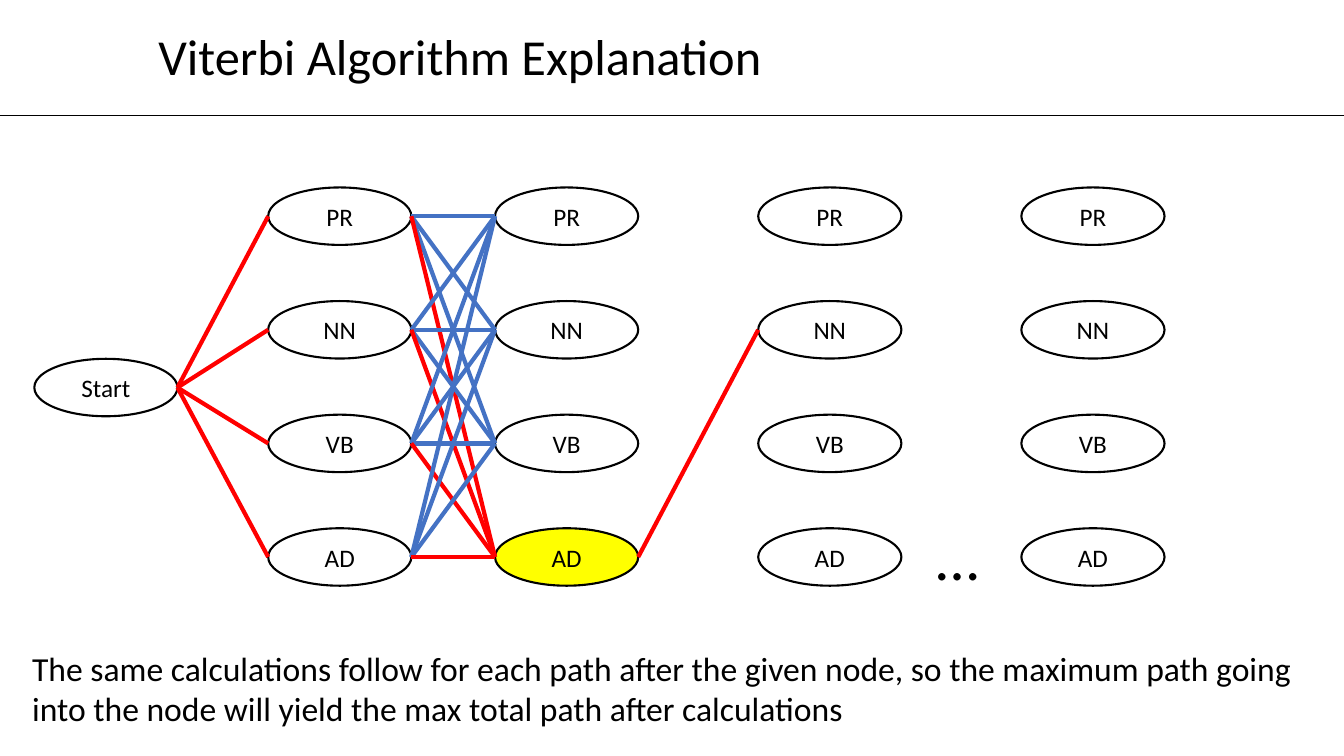
"""Build the Viterbi algorithm explanation slide."""
from lxml.etree import SubElement
from pptx import Presentation
from pptx.dml.color import RGBColor
from pptx.enum.shapes import MSO_CONNECTOR, MSO_SHAPE
from pptx.enum.text import MSO_ANCHOR, PP_ALIGN
from pptx.oxml.ns import qn
from pptx.util import Inches, Pt

BLACK, WHITE, YELLOW = "000000", "FFFFFF", "FFFF00"
RED, BLUE = "FF0000", "4472C4"
TAGS = ["PR", "NN", "VB", "AD"]
COLUMNS = [2.66, 4.91, 7.52, 10.13]
FIRST_ROW, ROW_STEP = 1.86, 1.127
NODE_WIDTH, NODE_HEIGHT = 1.42, 0.57


def color(value):
    """Turn a hex string into a colour."""
    return RGBColor.from_string(value)


def write(shape, text, size=18, align=PP_ALIGN.LEFT, anchor=MSO_ANCHOR.TOP, font="Calibri"):
    """Put formatted text into a shape."""
    frame = shape.text_frame
    frame.word_wrap = True
    frame.vertical_anchor = anchor
    frame.text = text
    paragraph = frame.paragraphs[0]
    paragraph.alignment = align
    paragraph.font.name = font
    paragraph.font.size = Pt(size)
    paragraph.font.color.rgb = color(BLACK)


class Diagram:
    """A slide with methods for each kind of element."""

    def __init__(self, slide):
        """Keep the slide to draw on."""
        self.slide = slide

    def title(self, text, left, top, width, height):
        """Place and fill the title placeholder."""
        shape = self.slide.shapes.title
        shape.left, shape.top = Inches(left), Inches(top)
        shape.width, shape.height = Inches(width), Inches(height)
        write(shape, text, size=36)

    def text(self, text, left, top, width, height, size):
        """Add a text box."""
        box = self.slide.shapes.add_textbox(
            Inches(left), Inches(top), Inches(width), Inches(height))
        write(box, text, size=size)

    def line(self, start, end, line_color, width=3):
        """Add a straight line between two points."""
        connector = self.slide.shapes.add_connector(
            MSO_CONNECTOR.STRAIGHT, *map(Inches, (*start, *end)))
        connector.line.color.rgb = color(line_color)
        connector.line.width = Pt(width)
        SubElement(connector._element.spPr, qn("a:effectLst"))

    def node(self, text, left, top, fill=WHITE):
        """Add an ellipse and return its left and right points."""
        shape = self.slide.shapes.add_shape(
            MSO_SHAPE.OVAL, Inches(left), Inches(top), Inches(NODE_WIDTH), Inches(NODE_HEIGHT))
        shape.shadow.inherit = False
        shape.fill.solid()
        shape.fill.fore_color.rgb = color(fill)
        shape.line.color.rgb = color(BLACK)
        shape.line.width = Pt(1.5)
        write(shape, text, align=PP_ALIGN.CENTER, anchor=MSO_ANCHOR.MIDDLE)
        middle = top + NODE_HEIGHT / 2
        return (left, middle), (left + NODE_WIDTH, middle)


def main():
    """Build and save the slide."""
    presentation = Presentation()
    presentation.slide_width, presentation.slide_height = Inches(13.33), Inches(7.5)
    diagram = Diagram(presentation.slides.add_slide(presentation.slide_layouts[5]))

    diagram.title("Viterbi Algorithm Explanation", 1.47, 0.2, 10.2, 0.71)
    diagram.line((0, 1.14), (13.33, 1.14), BLACK, width=0.5)

    start_right = diagram.node("Start", 0.34, 3.56)[1]
    best = (1, TAGS.index("AD"))
    columns = [
        [diagram.node(tag, left, FIRST_ROW + row * ROW_STEP,
                      YELLOW if (step, row) == best else WHITE)
         for row, tag in enumerate(TAGS)]
        for step, left in enumerate(COLUMNS)
    ]
    first, second, third = columns[:3]

    for node_left, node_right in first:
        diagram.line(start_right, node_left, RED)
        for row, (target_left, target_right) in enumerate(second):
            diagram.line(node_right, target_left, RED if row == best[1] else BLUE)
    diagram.line(second[best[1]][1], third[TAGS.index("NN")][0], RED)

    diagram.text("…", 9.19, 5.1, 0.9, 0.84, size=44)
    diagram.text(
        "The same calculations follow for each path after the given node, so the maximum path "
        "going into the node will yield the max total path after calculations",
        0.22, 6.38, 13.11, 0.91, size=24)
    presentation.save("out.pptx")


if __name__ == "__main__":
    main()
